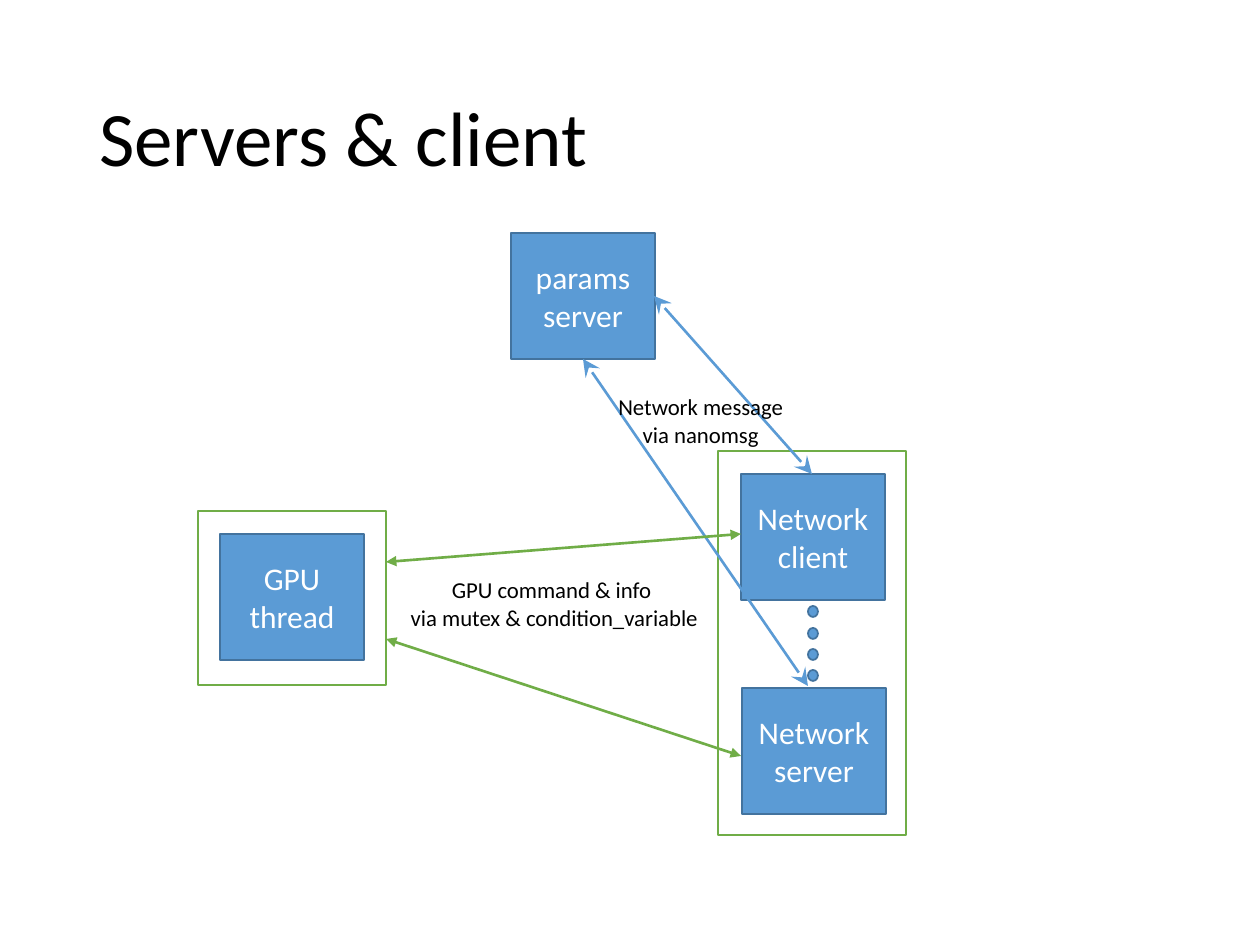
import pptx
import pptx.dml.color
import pptx.enum.shapes
import pptx.enum.text
import pptx.oxml.ns
import pptx.util
from lxml import etree

RGBColor = pptx.dml.color.RGBColor
Shape = pptx.enum.shapes.MSO_SHAPE
Align = pptx.enum.text.PP_ALIGN
Anchor = pptx.enum.text.MSO_ANCHOR

BLACK = RGBColor(0x00, 0x00, 0x00)
WHITE = RGBColor(0xFF, 0xFF, 0xFF)
BLUE = RGBColor(0x5B, 0x9B, 0xD5)
DARK_BLUE = RGBColor(0x43, 0x73, 0x9E)
GREEN = RGBColor(0x70, 0xAD, 0x47)
EMU_PER_PX = 914400 // 126


def px(length):
    return pptx.util.Emu(length * EMU_PER_PX)


def write(frame, text, size=18, color=BLACK, aligns=(Align.CENTER,),
          anchor=Anchor.TOP, wrap=True, spacing=None):
    frame.word_wrap = wrap
    frame.vertical_anchor = anchor
    for index, line in enumerate(text.split("\n")):
        paragraph = frame.add_paragraph() if index else frame.paragraphs[0]
        paragraph.text = line
        paragraph.alignment = aligns[min(index, len(aligns) - 1)]
        paragraph.line_spacing = spacing
        paragraph.font.name = "Calibri"
        paragraph.font.size = pptx.util.Pt(size)
        paragraph.font.color.rgb = color


class Diagram:
    """Draws boxes, dots, links and labels in one style on the current slide."""

    def __init__(self, slide):
        self.shapes = slide.shapes

    def outlined(self, kind, left, top, width, height, fill, line):
        shape = self.shapes.add_shape(kind, px(left), px(top), px(width), px(height))
        shape.shadow.inherit = False
        shape.fill.solid()
        shape.fill.fore_color.rgb = fill
        shape.line.color.rgb = line
        shape.line.width = pptx.util.Pt(1)
        return shape

    def group_frame(self, left, top, width, height):
        self.outlined(Shape.RECTANGLE, left, top, width, height, WHITE, GREEN)

    def node(self, text, left, top):
        node = self.outlined(Shape.RECTANGLE, left, top, 144, 126, BLUE, DARK_BLUE)
        write(node.text_frame, text, color=WHITE, anchor=Anchor.MIDDLE)

    def dot(self, left, top):
        self.outlined(Shape.OVAL, left, top, 10, 11, BLUE, DARK_BLUE)

    def label(self, text, left, top, width, height, **style):
        box = self.shapes.add_textbox(px(left), px(top), px(width), px(height))
        write(box.text_frame, text, **style)

    def link(self, start, end, color, arrow, size):
        link = self.shapes.add_connector(
            pptx.enum.shapes.MSO_CONNECTOR.STRAIGHT, *map(px, start + end))
        link.line.color.rgb = color
        link.line.width = pptx.util.Pt(1.5)
        qn = pptx.oxml.ns.qn
        outline = link.line._get_or_add_ln()
        for tip in ("a:headEnd", "a:tailEnd"):
            etree.SubElement(outline, qn(tip), type=arrow, w=size, len=size)
        etree.SubElement(link._element.spPr, qn("a:effectLst"))


def main():
    deck = pptx.Presentation()
    deck.slide_width, deck.slide_height = px(1260), px(945)
    diagram = Diagram(deck.slides.add_slide(deck.slide_layouts[6]))

    diagram.group_frame(718, 451, 188, 384)
    diagram.label("Servers & client", 87, 50, 1086, 183, size=44,
                  aligns=(Align.LEFT,), anchor=Anchor.MIDDLE, spacing=0.9)
    diagram.node("params server", 511, 233)
    diagram.group_frame(198, 511, 188, 174)
    diagram.node("GPU\nthread", 220, 534)
    diagram.node("Network\vserver", 742, 688)
    diagram.node("Network\vclient", 741, 474)
    for step in range(4):
        diagram.dot(808, 606 + round(21.5 * step))

    for start, end in (((654, 296), (812, 474)), ((583, 359), (808, 686))):
        diagram.link(start, end, BLUE, "stealth", "lg")
    for start, end in (((741, 534), (386, 562)), ((741, 756), (386, 639))):
        diagram.link(start, end, GREEN, "triangle", "med")

    diagram.label("Network message\nvia nanomsg", 606, 387, 204, 68, size=13,
                  aligns=(Align.LEFT, Align.CENTER), wrap=False)
    diagram.label("GPU command & info \nvia mutex & condition_variable",
                  387, 570, 334, 68, size=13)
    deck.save("out.pptx")


if __name__ == "__main__":
    main()
